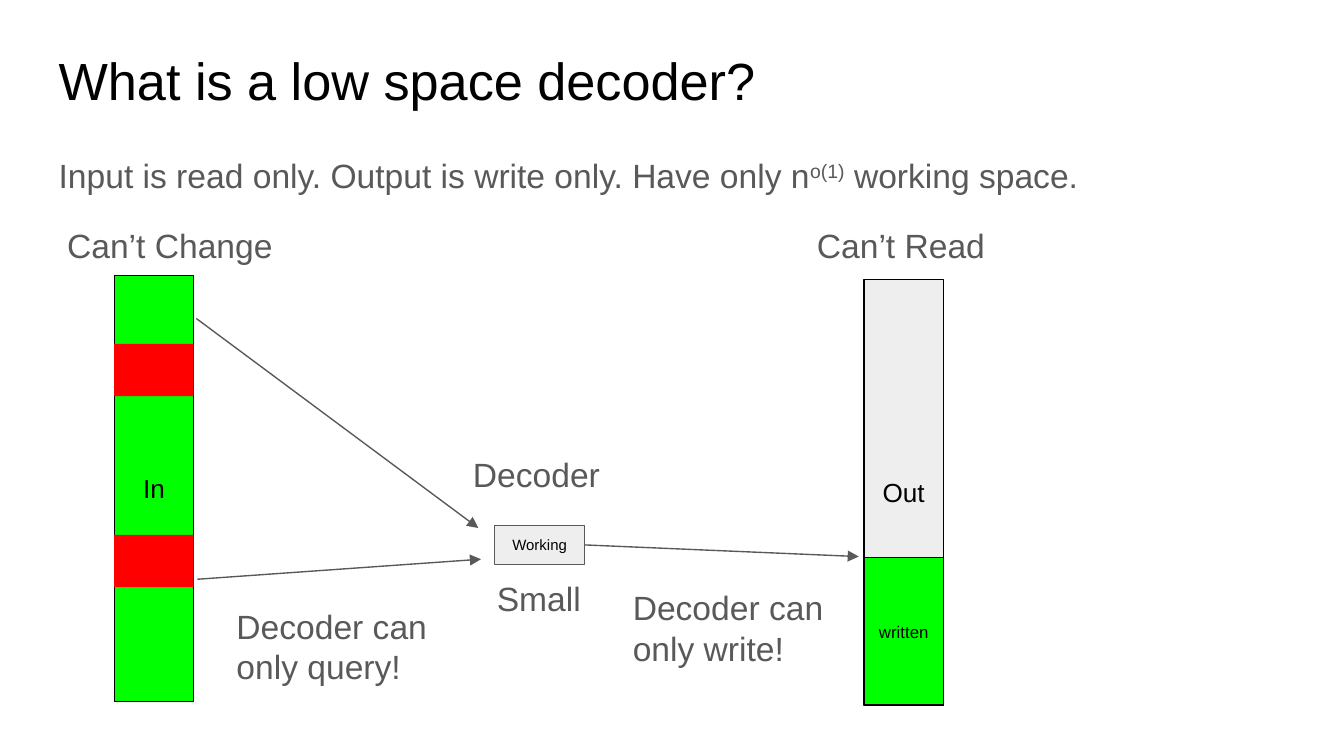
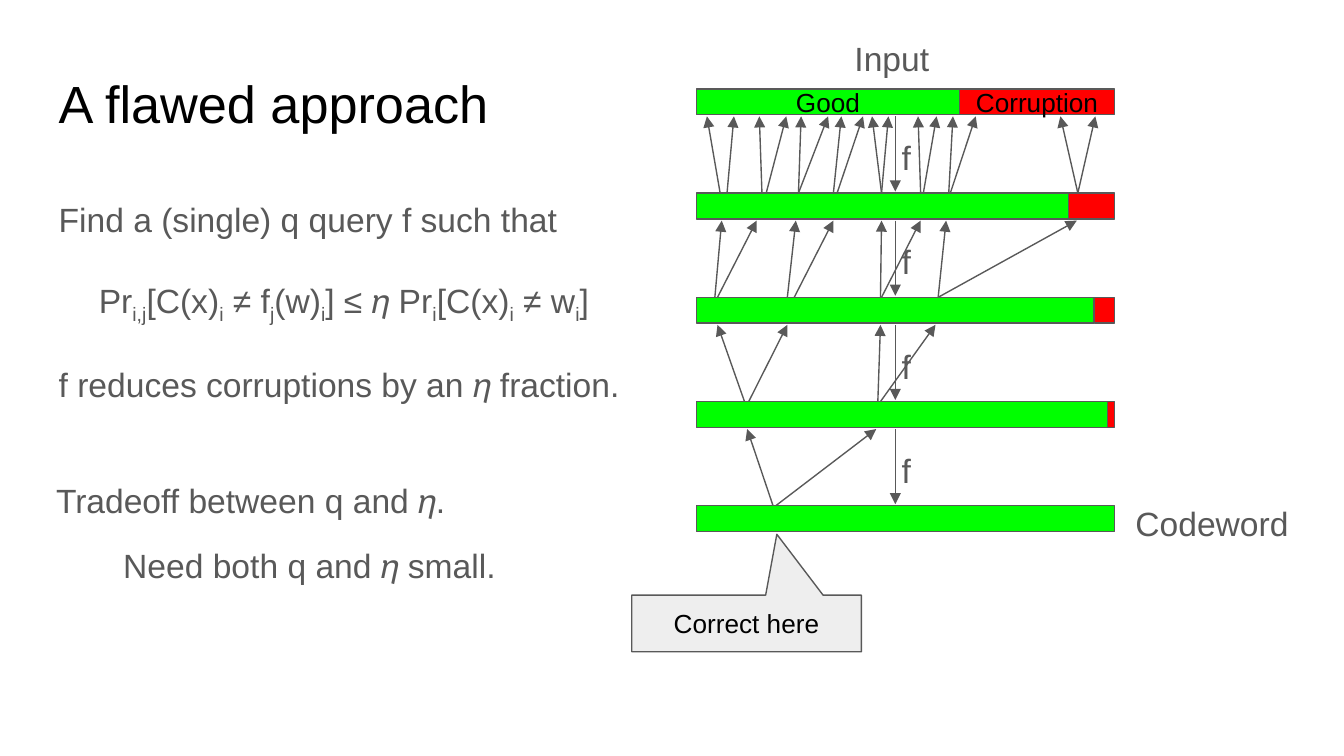
"""Build two slides on low space decoders and a flawed correction approach."""
import pptx
import pptx.dml.color
import pptx.enum.shapes
import pptx.enum.text
import pptx.oxml.ns
import pptx.util
from lxml import etree

Cm = pptx.util.Cm
Pt = pptx.util.Pt
RGBColor = pptx.dml.color.RGBColor
Shape = pptx.enum.shapes.MSO_SHAPE
Align = pptx.enum.text.PP_ALIGN
Anchor = pptx.enum.text.MSO_ANCHOR

BLACK = RGBColor(0x00, 0x00, 0x00)
GRAY = RGBColor(0x59, 0x59, 0x59)
PALE = RGBColor(0xEE, 0xEE, 0xEE)
GREEN = RGBColor(0x00, 0xFF, 0x00)
RED = RGBColor(0xFF, 0x00, 0x00)
FONT = "Arial"
INSET = 0.25
SUPER, SUB = 30000, -25000

SPACE_TITLE = ("What is a low space decoder?", (0.86, 0.79, 23.67, 1.6))
SPACE_RULE = ["Input is read only. Output is write only. Have only n",
              ("o(1)", SUPER), " working space."]
SPACE_LABELS = [
    ("Can’t Change", (1.02, 4.01, 4.6, 1.27)),
    ("Decoder", (8.69, 8.33, 3.02, 1.27)),
    ("Decoder can only query!", (4.22, 11.2, 4.17, 2.03)),
    ("Can’t Read", (15.19, 4.01, 3.76, 1.27)),
    ("Decoder can only write!", (11.71, 10.85, 4.17, 2.03)),
    ("Small", (9.14, 10.67, 2.11, 1.27)),
]
SPACE_BLOCKS = [
    ("In", (2.16, 5.21, 1.5, 8.05), GREEN, BLACK, 14),
    ("", (2.16, 6.5, 1.5, 0.99), RED, None, 14),
    ("", (2.16, 10.11, 1.5, 0.99), RED, None, 14),
    ("Out", (16.33, 5.28, 1.5, 8.05), PALE, BLACK, 14),
    ("written", (16.33, 10.54, 1.5, 2.79), GREEN, BLACK, 9),
]
WORKING = ("Working", (9.35, 9.93, 1.7, 0.74), PALE, GRAY, 8)
QUERY_ARROWS = [((3.71, 6.02), (9.04, 9.98)), ((3.73, 10.95), (9.09, 10.57))]
WRITE_ARROW = ((11.05, 10.3), (16.23, 10.52))

FLAW_TITLE = ("A flawed approach", (0.86, 1.24, 9.96, 1.6))
FLAW_BOUND = ["Pr", ("i,j", SUB), "[C(x)", ("i", SUB), " ≠ f", ("j", SUB),
              "(w)", ("i", SUB), "] ≤ 𝜂 Pr", ("i", SUB), "[C(x)", ("i", SUB),
              " ≠ w", ("i", SUB), "]"]
FLAW_BODY = [
    dict(runs=["Find a (single) q query f such that"], spacing=1.4),
    dict(runs=FLAW_BOUND, spacing=1.4, before=12, align=Align.CENTER),
    dict(runs=["f reduces corruptions by an 𝜂 fraction."], spacing=1.4, before=12),
]
FLAW_TRADEOFF = [
    dict(runs=["Tradeoff between q and 𝜂."], spacing=1.15),
    dict(runs=["Need both q and 𝜂 small."], spacing=1.15, before=10, indent=1.27),
]
FLAW_LABELS = [("Input", (15.9, 0.46, 2.11, 1.02)),
               ("Codeword", (21.21, 9.25, 3.84, 1.07))]
CALLOUT = ("Correct here", (11.94, 11.25, 4.34, 1.07), PALE, GRAY, 14)
CALLOUT_TIP = (0.132, -1.575)

BAR_LEFT, BAR_TOP, BAR_WIDTH, BAR_HEIGHT, BAR_PITCH = 13.16, 1.68, 7.9, 0.49, 1.97
GOOD_WIDTHS = [4.98, 7.04, 7.52, 7.77, 7.9]
BAR_TEXTS = {0: ("Good", "Corruption")}
STEP_X = 16.92
QUERIES = [
    [(13.61, 13.36), (13.74, 13.87), (14.4, 14.35), (14.48, 14.86),
     (15.09, 15.14), (15.09, 15.65), (15.75, 15.9), (15.82, 16.31),
     (16.66, 16.48), (16.66, 16.79), (17.4, 17.35), (17.45, 17.7),
     (17.93, 18.01), (17.96, 18.44), (20.37, 20.04), (20.37, 20.7)],
    [(13.51, 13.64), (13.56, 14.3), (14.88, 15.04), (15.01, 15.75),
     (16.64, 16.66), (16.66, 17.4), (17.73, 17.88), (17.73, 20.35)],
    [(14.07, 13.56), (14.15, 14.88), (16.59, 16.64), (16.64, 17.68)],
    [(14.61, 14.12), (14.66, 16.56)],
]


def fill_text(shape, paragraphs, size, color):
    """Write paragraphs, each a dict of runs and layout, into a shape."""
    frame = shape.text_frame
    frame.word_wrap = True
    frame.margin_left = frame.margin_right = Cm(INSET)
    frame.margin_top = frame.margin_bottom = Cm(INSET)
    for index, item in enumerate(paragraphs):
        para = frame.add_paragraph() if index else frame.paragraphs[0]
        para.alignment = item.get("align", Align.LEFT)
        para.line_spacing = item.get("spacing", 1.0)
        if "before" in item:
            para.space_before = Pt(item["before"])
        if "indent" in item:
            properties = para._p.get_or_add_pPr()
            properties.set("marL", str(Cm(item["indent"])))
            properties.set("indent", "0")
        for run in item["runs"]:
            text, baseline = (run, 0) if isinstance(run, str) else run
            span = para.add_run()
            span.text = text
            span.font.name = FONT
            span.font.size = Pt(size)
            span.font.color.rgb = color
            if baseline:
                span._r.get_or_add_rPr().set("baseline", str(baseline))


def add_text(page, area, paragraphs, size=18, color=GRAY):
    """Add a text box."""
    box = page.shapes.add_textbox(*map(Cm, area))
    fill_text(box, paragraphs, size, color)


def add_title(page, text, area):
    """Add the slide title."""
    add_text(page, area, [dict(runs=[text], spacing=0.9)], 28, BLACK)


def add_labels(page, labels):
    """Add plain one-paragraph labels."""
    for text, area in labels:
        add_text(page, area, [dict(runs=[text])])


def add_block(page, text, area, fill, line, size=14, kind=Shape.RECTANGLE):
    """Add a filled shape with centred text."""
    block = page.shapes.add_shape(kind, *map(Cm, area))
    block.shadow.inherit = False
    block.fill.solid()
    block.fill.fore_color.rgb = fill
    if line is None:
        block.line.fill.background()
    else:
        block.line.color.rgb = line
        block.line.width = Pt(0.75)
    if text:
        block.text_frame.vertical_anchor = Anchor.MIDDLE
        fill_text(block, [dict(runs=[text], align=Align.CENTER)], size, BLACK)
    return block


def add_arrow(page, start, end):
    """Add a thin gray arrow."""
    arrow = page.shapes.add_connector(
        pptx.enum.shapes.MSO_CONNECTOR.STRAIGHT, *map(Cm, start + end))
    arrow.line.color.rgb = GRAY
    arrow.line.width = Pt(0.75)
    head = etree.SubElement(arrow.line._get_or_add_ln(), pptx.oxml.ns.qn("a:tailEnd"))
    head.set("type", "triangle")
    etree.SubElement(arrow._element.spPr, pptx.oxml.ns.qn("a:effectLst"))
    return arrow


def build_space(page):
    """Draw the read-only input, working space and write-only output."""
    add_title(page, *SPACE_TITLE)
    add_text(page, (0.86, 2.57, 23.67, 1.42), [dict(runs=SPACE_RULE, spacing=1.15)])
    for block in SPACE_BLOCKS:
        add_block(page, *block)
    working = add_block(page, *WORKING)
    for start, end in QUERY_ARROWS:
        add_arrow(page, start, end)
    add_arrow(page, *WRITE_ARROW).begin_connect(working, 3)
    add_labels(page, SPACE_LABELS)


def build_flaw(page):
    """Draw the layers of bars and the queries between them."""
    add_title(page, *FLAW_TITLE)
    add_text(page, (0.86, 3.2, 11.28, 4.93), FLAW_BODY)
    tops = [BAR_TOP + BAR_PITCH * level for level in range(len(GOOD_WIDTHS))]
    for level, (top, good) in enumerate(zip(tops, GOOD_WIDTHS)):
        good_text, bad_text = BAR_TEXTS.get(level, ("", ""))
        add_block(page, good_text, (BAR_LEFT, top, good, BAR_HEIGHT), GREEN, GRAY)
        if good < BAR_WIDTH:
            area = (BAR_LEFT + good, top, BAR_WIDTH - good, BAR_HEIGHT)
            add_block(page, bad_text, area, RED, GRAY)
    callout = add_block(page, *CALLOUT, kind=Shape.RECTANGULAR_CALLOUT)
    for index, value in enumerate(CALLOUT_TIP):
        callout.adjustments[index] = value
    for upper, lower, queries in zip(tops, tops[1:], QUERIES):
        below = upper + BAR_HEIGHT + 0.03
        add_arrow(page, (STEP_X, below), (STEP_X, lower - 0.03))
        add_labels(page, [("f", (16.79, upper + 0.66, 0.64, 1.27))])
        for start, end in queries:
            add_arrow(page, (start, lower), (end, below))
    add_labels(page, FLAW_LABELS)
    add_text(page, (0.81, 8.71, 10.06, 2.54), FLAW_TRADEOFF)


def main():
    """Build and save the deck."""
    deck = pptx.Presentation()
    deck.slide_width, deck.slide_height = Cm(25.4), Cm(14.29)
    for build in (build_space, build_flaw):
        build(deck.slides.add_slide(deck.slide_layouts[6]))
    deck.save("out.pptx")


if __name__ == "__main__":
    main()
